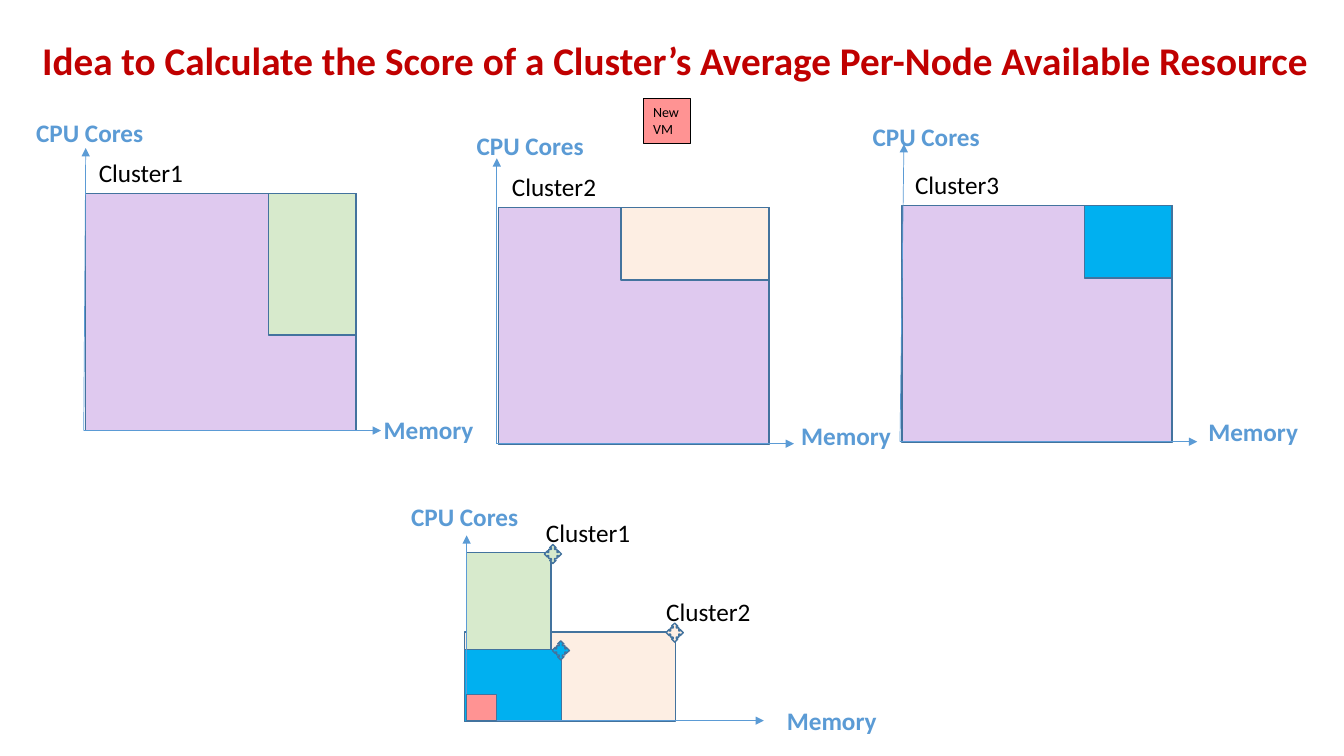
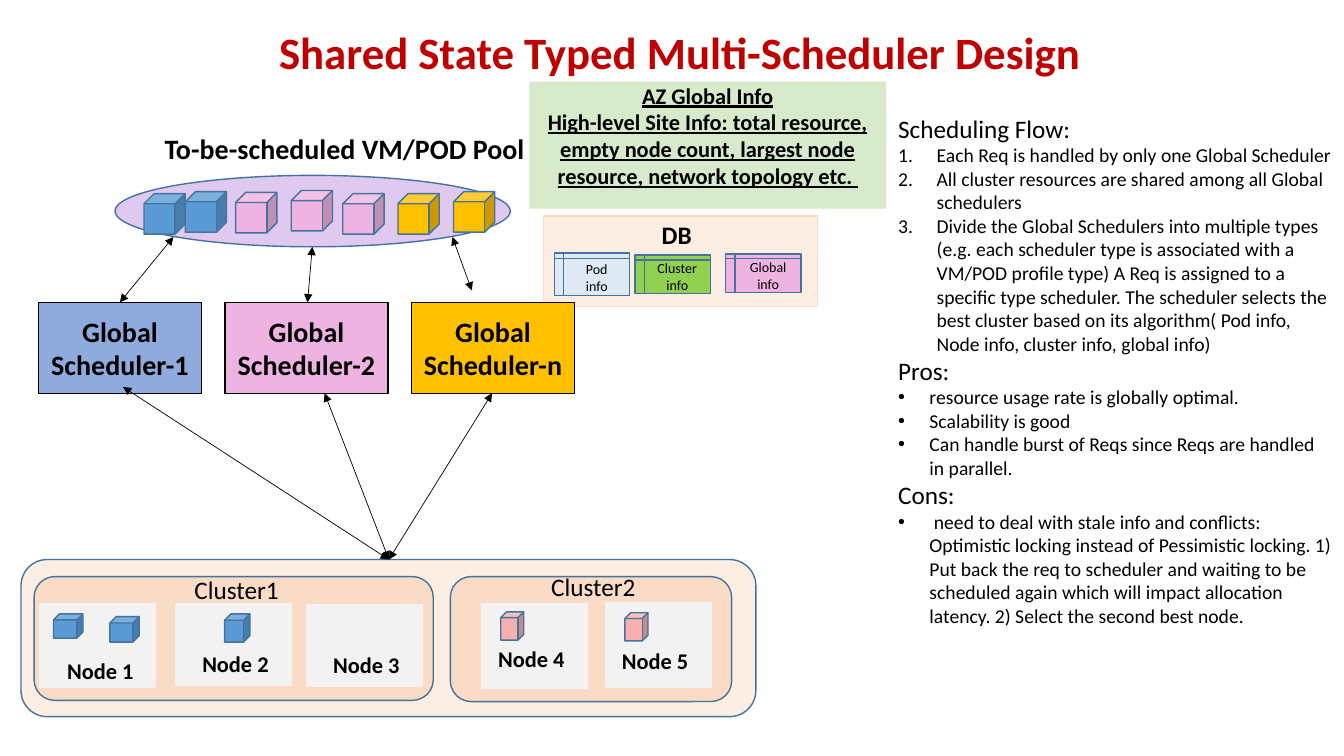
"""Build two slides on cluster scoring and multi-scheduler design."""
from lxml import etree
from pptx import Presentation
from pptx.dml.color import RGBColor
from pptx.enum.shapes import MSO_CONNECTOR, MSO_SHAPE
from pptx.enum.text import MSO_ANCHOR, MSO_AUTO_SIZE, PP_ALIGN
from pptx.oxml.ns import qn
from pptx.util import Cm, Pt

RECT, PROCESS = MSO_SHAPE.RECTANGLE, MSO_SHAPE.FLOWCHART_PROCESS
ROUND, OVAL, CUBE = MSO_SHAPE.ROUNDED_RECTANGLE, MSO_SHAPE.OVAL, MSO_SHAPE.CUBE
CALLOUT, STORE = MSO_SHAPE.QUAD_ARROW_CALLOUT, MSO_SHAPE.FLOWCHART_INTERNAL_STORAGE
LINE, TEXT = MSO_CONNECTOR.STRAIGHT, None
LEFT, CENTER = PP_ALIGN.LEFT, PP_ALIGN.CENTER
TOP, MIDDLE = MSO_ANCHOR.TOP, MSO_ANCHOR.MIDDLE
NO_FIT = MSO_AUTO_SIZE.NONE

FONT = "Calibri"
BLACK, RED, EDGE, BLUE = "000000", "C00000", "43739E", "5B9BD5"
CREAM, GREEN, SKY, LILAC = "FDEEE3", "D7EACC", "00B0F0", "DFC9EF"
CORAL, PEACH, PINK, GOLD = "FF9393", "FADBC6", "EFB3E2", "FFC000"
GREY, ROSE = "F2F2F2", "F8B0AE"
rgb = RGBColor.from_string


def write(sp, text, size=18, color=BLACK, bold=False, underline=False,
          align=LEFT, anchor=TOP, spacing=None):
    tf = sp.text_frame
    tf.text = text
    tf.word_wrap = True
    tf.auto_size = NO_FIT
    tf.vertical_anchor = anchor
    for p in tf.paragraphs:
        p.alignment = align
        p.space_before = Pt(0)
        if spacing:
            p.line_spacing = spacing
        for r in p.runs:
            f = r.font
            f.name, f.size, f.bold, f.underline = FONT, Pt(size), bold, underline
            f.color.rgb = rgb(color)


def draw(s, kind, at, fill=None, line=EDGE, width=1, ends=("tailEnd",)):
    box = [Cm(v) for v in at]
    if kind is TEXT:
        return s.shapes.add_textbox(*box)
    if kind is LINE:
        sp = s.shapes.add_connector(LINE, *box)
    else:
        sp = s.shapes.add_shape(kind, *box)
        sp.shadow.inherit = False
        if fill:
            sp.fill.solid()
            sp.fill.fore_color.rgb = rgb(fill)
        else:
            sp.fill.background()
    if line:
        sp.line.color.rgb = rgb(line)
        sp.line.width = Pt(width)
    else:
        sp.line.fill.background()
    if kind is LINE:
        spPr = sp._element.spPr
        for end in ends:
            etree.SubElement(spPr.find(qn("a:ln")), qn("a:" + end), type="triangle")
        etree.SubElement(spPr, qn("a:effectLst"))
    return sp


prs = Presentation()
prs.slide_width, prs.slide_height = Cm(33.87), Cm(19.05)
slides = []
for layout, at, title, size, align in (
    (5, (0.81, 0.3, 32.69, 2.59),
     "Idea to Calculate the Score of a Cluster’s Average Per-Node Available Resource",
     28, LEFT),
    (1, (2.18, 0.1, 29.92, 2.59), "Shared State Typed Multi-Scheduler Design", 32, CENTER),
):
    s = prs.slides.add_slide(prs.slide_layouts[layout])
    sp = s.shapes.title
    sp.left, sp.top, sp.width, sp.height = [Cm(v) for v in at]
    write(sp, title, size, RED, bold=True, align=align, anchor=MIDDLE, spacing=0.9)
    slides.append(s)

s = slides[0]
full_w, full_h = 6.81, 5.97
for name, x, y, free_w, free_h, color in (
    ("Cluster1", 2.16, 4.88, 2.21, 3.56, GREEN),
    ("Cluster2", 12.57, 5.23, 3.73, 1.83, CREAM),
    ("Cluster3", 22.73, 5.18, 2.21, 1.83, SKY),
):
    draw(s, PROCESS, (x, y, full_w, full_h), LILAC)
    draw(s, RECT, (x + full_w - free_w, y, free_w, free_h), color)
    write(draw(s, TEXT, (x + 0.08, y - 1.05, 3.15, 1.02)), name)

for kind, at, color in (
    (RECT, (11.71, 15.93, 5.31, 2.24), CREAM),
    (PROCESS, (11.76, 13.92, 2.13, 4.17), GREEN),
    (RECT, (11.71, 16.36, 2.44, 1.83), SKY),
):
    draw(s, kind, at, color)

for x, y, tip_x, tip_y, cpu, memory in (
    (2.11, 10.85, 2.16, 3.73, (0.66, 2.84), (9.42, 10.31)),
    (12.52, 11.18, 12.52, 3.99, (11.76, 3.15), (19.94, 10.46)),
    (22.68, 11.13, 22.78, 3.63, (21.74, 2.92), (30.2, 10.36)),
    (11.76, 18.16, 11.76, 13.49, (10.11, 12.5), (19.58, 17.65)),
):
    draw(s, LINE, (x, y, tip_x, tip_y), line=BLUE, width=0.5)
    draw(s, LINE, (x, y, x + 7.49, y), line=BLUE, width=0.5)
    write(draw(s, TEXT, (*cpu, 3.23, 1.02)), "CPU Cores", color=BLUE, bold=True)
    write(draw(s, TEXT, (*memory, 2.77, 1.02)), "Memory", color=BLUE, bold=True)

for x, y, color in ((13.72, 13.72, GREEN), (13.92, 16.15, SKY), (16.79, 15.7, CREAM)):
    draw(s, CALLOUT, (x, y, 0.43, 0.48), color)
for name, x, y in (("Cluster1", 13.51, 12.9), ("Cluster2", 16.54, 14.91)):
    write(draw(s, TEXT, (x, y, 3.15, 1.02)), name)
draw(s, PROCESS, (11.76, 17.5, 0.76, 0.66), CORAL)
write(draw(s, RECT, (16.21, 2.49, 1.19, 1.12), CORAL, BLACK, 0.75), "New VM", 10)

s = slides[1]
flow = (
    (None, "Scheduling Flow:"),
    ("1", "Each Req is handled by only one Global Scheduler"),
    ("1", "All cluster resources are shared among all Global schedulers"),
    ("1", "Divide the Global Schedulers into multiple types (e.g. each scheduler type is "
     "associated with a VM/POD profile type) A Req is assigned to a specific type "
     "scheduler. The scheduler selects the best cluster based on its algorithm( Pod info, "
     "Node info, cluster info, global info)"),
    (None, "Pros:"),
    ("•", "resource usage rate is globally optimal."),
    ("•", "Scalability is good"),
    ("•", "Can handle burst of Reqs since Reqs are handled in parallel."),
    (None, "Cons:"),
    ("•", " need to deal with stale info and conflicts: Optimistic locking instead of "
     "Pessimistic locking. 1) Put back the req to scheduler and waiting to be scheduled "
     "again which will impact allocation latency. 2) Select the second best node."),
)
sp = s.placeholders[1]
sp.left, sp.top, sp.width, sp.height = Cm(22.38), Cm(2.72), Cm(11.48), Cm(13.34)
write(sp, "\n".join(text for _, text in flow), 14)
for p, (bullet, _) in zip(sp.text_frame.paragraphs, flow):
    pPr = p._p.get_or_add_pPr()
    indent = Cm({"1": 0.97, "•": 0.79}.get(bullet, 0))
    pPr.set("marL", str(indent))
    pPr.set("indent", str(-indent))
    if bullet == "1":
        etree.SubElement(pPr, qn("a:buAutoNum"), type="arabicPeriod")
    elif bullet:
        etree.SubElement(pPr, qn("a:buFont"), typeface="Arial")
        etree.SubElement(pPr, qn("a:buChar"), char=bullet)
    else:
        etree.SubElement(pPr, qn("a:buNone"))
        p.runs[0].font.size = Pt(18)

draw(s, ROUND, (0.53, 14.1, 18.52, 3.96), CREAM)
draw(s, ROUND, (11.35, 14.53, 7.09, 3.15), PEACH)
draw(s, ROUND, (0.86, 14.53, 10.06, 3.12), PEACH)
for i, (box, label) in enumerate((
    ((0.99, 15.21, 2.92, 2.11), (1.22, 16.56, 2.62, 0.66)),
    ((4.42, 15.21, 2.92, 2.06), (4.55, 16.46, 2.77, 0.51)),
    ((7.72, 15.24, 2.92, 2.06), (7.85, 16.48, 2.77, 0.51)),
    ((12.14, 15.21, 2.67, 2.13), (12.22, 16.28, 2.34, 0.64)),
    ((15.27, 15.19, 2.67, 2.13), (15.34, 16.33, 2.34, 0.64)),
), 1):
    draw(s, RECT, box, GREY, GREY)
    write(draw(s, RECT, label, line=GREY), f"Node {i}", 16, bold=True,
          align=CENTER, anchor=MIDDLE)
for name, x, y in (("Cluster1", 4.65, 14.35), ("Cluster2", 13.64, 14.27)):
    write(draw(s, TEXT, (x, y, 3.89, 1.02)), name)

write(draw(s, TEXT, (3.73, 2.77, 9.91, 1.91)), "To-be-scheduled VM/POD Pool", 20,
      bold=True, align=CENTER, anchor=MIDDLE)
draw(s, OVAL, (2.9, 4.42, 9.96, 1.8), LILAC)
pool_w, pool_h = 1.04, 1.02
for x, y, w, h, color in (
    (4.67, 4.83, pool_w, pool_h, BLUE),
    (3.63, 4.88, pool_w, pool_h, BLUE),
    (5.94, 4.85, pool_w, pool_h, PINK),
    (7.34, 4.8, pool_w, pool_h, PINK),
    (8.64, 4.88, pool_w, pool_h, PINK),
    (10.03, 4.88, pool_w, pool_h, GOLD),
    (11.43, 4.83, pool_w, pool_h, GOLD),
    (1.35, 15.47, 0.74, 0.61, BLUE),
    (2.77, 15.54, 0.74, 0.64, BLUE),
    (5.66, 15.47, 0.64, 0.71, BLUE),
    (12.62, 15.42, 0.58, 0.71, ROSE),
    (15.75, 15.44, 0.58, 0.71, ROSE),
):
    draw(s, CUBE, (x, y, w, h), color)

draw(s, RECT, (13.69, 5.44, 6.91, 2.29), CREAM, PEACH)
write(draw(s, TEXT, (14.4, 5.69, 5.31, 0.46)), "DB", bold=True, align=CENTER, anchor=MIDDLE)
for text, x, y, h, color in (
    ("Pod info", 13.97, 6.38, 1.07, "DEEBF7"),
    ("Cluster info", 16, 6.43, 0.97, "92D050"),
    ("Global info", 18.29, 6.4, 0.97, PINK),
):
    write(draw(s, STORE, (x, y, 1.9, h), color), text, 10, align=CENTER, anchor=MIDDLE)

for i, (suffix, color) in enumerate((("1", "8FAADC"), ("2", PINK), ("n", GOLD))):
    sp = draw(s, RECT, (0.97 + 4.7 * i, 7.62, 4.11, 2.29), color, BLACK)
    write(sp, f"Global Scheduler-{suffix}", 20, bold=True, align=CENTER, anchor=MIDDLE)
for at in (
    (4.37, 5.97, 3.02, 7.62), (7.87, 6.22, 7.75, 7.62), (11.4, 5.97, 11.89, 7.32),
    (9.8, 14.1, 3.1, 9.75), (9.8, 14.1, 8.18, 9.91), (9.8, 14.1, 12.4, 9.91),
):
    draw(s, LINE, at, line=BLACK, width=0.5, ends=("headEnd", "tailEnd"))

sp = draw(s, RECT, (13.34, 2.06, 8.99, 3.2), GREEN, None)
write(sp, "AZ Global Info\nHigh-level Site Info: total resource, empty node count, "
      "largest node resource, network topology etc. ", 16, bold=True, underline=True,
      align=CENTER)
sp.text_frame.margin_top = 0

prs.save("out.pptx")
